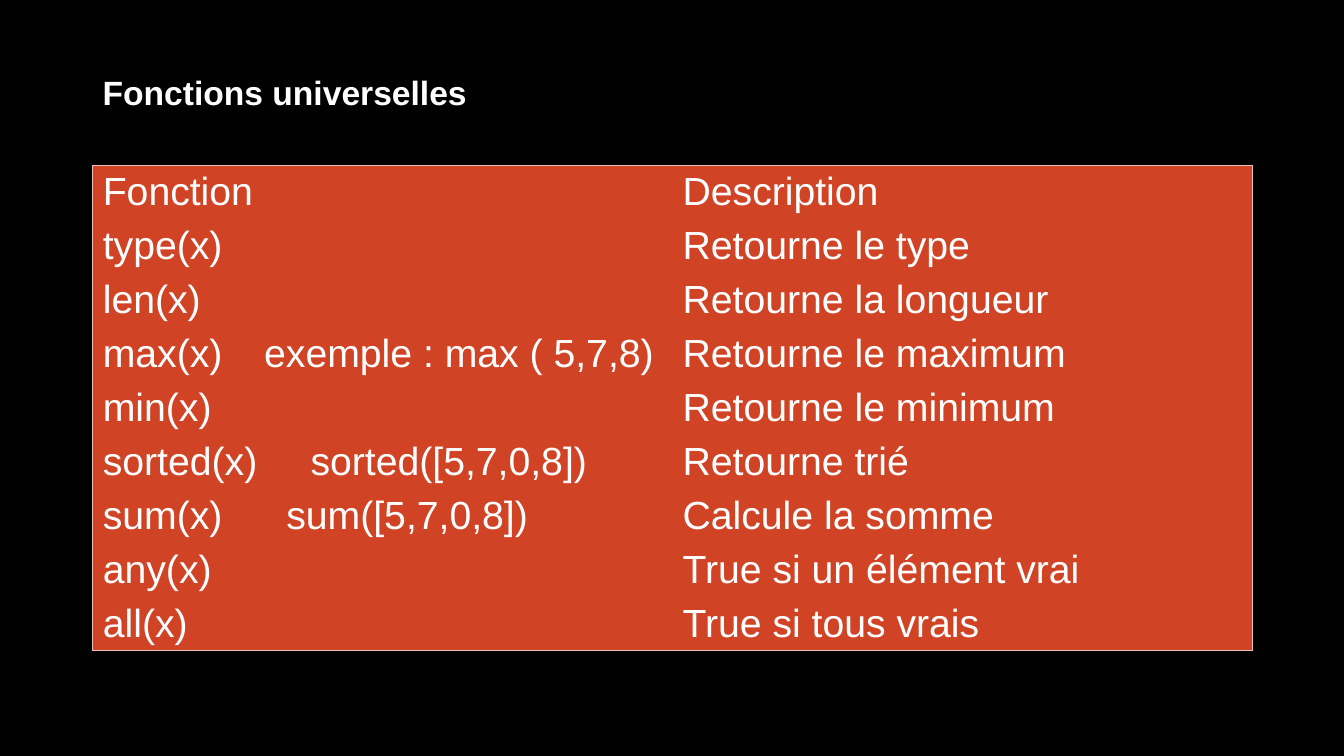
from dataclasses import dataclass

from lxml.etree import SubElement as Sub
from pptx import Presentation
from pptx.dml.color import RGBColor as RGB
from pptx.enum.text import MSO_ANCHOR as Anchor
from pptx.oxml.ns import qn
from pptx.util import Inches, Pt


@dataclass(frozen=True)
class Theme:
    font: str = "Arial"
    background: str = "000000"
    text: str = "FFFFFF"
    panel: str = "D04325"
    border: str = "E6C1BE"
    title_size: float = 24
    cell_size: float = 28
    border_width: float = 0.5


THEME = Theme()

# Grid in inches: one left edge, two equal columns, equal rows
WIDTH, HEIGHT = 13.33, 7.5
LEFT, COLUMN, ROW = 0.92, 5.75, 0.535
TITLE_TOP, TITLE_WIDTH, TITLE_HEIGHT = 0.64, 7.12, 0.81
TABLE_TOP = 1.64

TITLE = "Fonctions universelles"
FUNCTIONS = [
    ("Fonction", "Description"),
    ("type(x)", "Retourne le type"),
    ("len(x)", "Retourne la longueur"),
    ("max(x)\texemple : max ( 5,7,8)", "Retourne le maximum"),
    ("min(x)", "Retourne le minimum"),
    ("sorted(x)\tsorted([5,7,0,8])", "Retourne trié"),
    ("sum(x)\tsum([5,7,0,8])", "Calcule la somme"),
    ("any(x)", "True si un élément vrai"),
    ("all(x)", "True si tous vrais"),
]
# Where the example starts inside its cell, by row
EXAMPLE_STOPS = {3: 1.6, 5: 2.06, 6: 1.82}


def set_all(obj, values):
    for name, value in values.items():
        setattr(obj, name, value)


def write(p, text, size, bold=False):
    r = p.add_run()
    r.text = text
    set_all(r.font, {"name": THEME.font, "size": Pt(size), "bold": bold})
    r.font.color.rgb = RGB.from_string(THEME.text)


def add_tab_stop(p, inches):
    stops = Sub(p._p.get_or_add_pPr(), qn("a:tabLst"))
    Sub(stops, qn("a:tab"), pos=str(Inches(inches)), algn="l")


def set_borders(cell, shown):
    """Draw the named sides and clear the others."""
    for side in "LRTB":
        ln = Sub(cell._tc.get_or_add_tcPr(), qn(f"a:ln{side}"),
                 w=str(Pt(THEME.border_width)))
        if side in shown:
            fill = Sub(ln, qn("a:solidFill"))
            Sub(fill, qn("a:srgbClr"), val=THEME.border)
        else:
            Sub(ln, qn("a:noFill"))


def add_title(slide, text):
    sp = slide.shapes.add_textbox(*map(
        Inches, (LEFT, TITLE_TOP, TITLE_WIDTH, TITLE_HEIGHT)))
    tf = sp.text_frame
    set_all(tf, {"word_wrap": True, "vertical_anchor": Anchor.TOP,
                 "margin_top": Inches(0.07)})
    write(tf.paragraphs[0], text, THEME.title_size, bold=True)


def add_function_table(slide, rows):
    n_rows, n_cols = len(rows), len(rows[0])
    table = slide.shapes.add_table(n_rows, n_cols, *map(
        Inches, (LEFT, TABLE_TOP, COLUMN * n_cols, ROW * n_rows))).table
    set_all(table, {"first_row": False, "horz_banding": False})
    for i, row in enumerate(rows):
        table.rows[i].height = Inches(ROW)
        for j, text in enumerate(row):
            cell = table.cell(i, j)
            # Only the outer edge of the table is ruled
            edges = {"L": j == 0, "R": j == n_cols - 1,
                     "T": i == 0, "B": i == n_rows - 1}
            set_borders(cell, [side for side, on in edges.items() if on])
            cell.fill.solid()
            cell.fill.fore_color.rgb = RGB.from_string(THEME.panel)
            set_all(cell, {"vertical_anchor": Anchor.MIDDLE,
                           "margin_top": Inches(0.04),
                           "margin_bottom": Inches(0.04)})
            p = cell.text_frame.paragraphs[0]
            if j == 0 and i in EXAMPLE_STOPS:
                add_tab_stop(p, EXAMPLE_STOPS[i])
            write(p, text, THEME.cell_size)


def main():
    prs = Presentation()
    set_all(prs, {"slide_width": Inches(WIDTH), "slide_height": Inches(HEIGHT)})
    slide = prs.slides.add_slide(prs.slide_layouts[6])
    fill = slide.background.fill
    fill.solid()
    fill.fore_color.rgb = RGB.from_string(THEME.background)

    add_function_table(slide, FUNCTIONS)
    add_title(slide, TITLE)
    prs.save("out.pptx")


if __name__ == "__main__":
    main()
